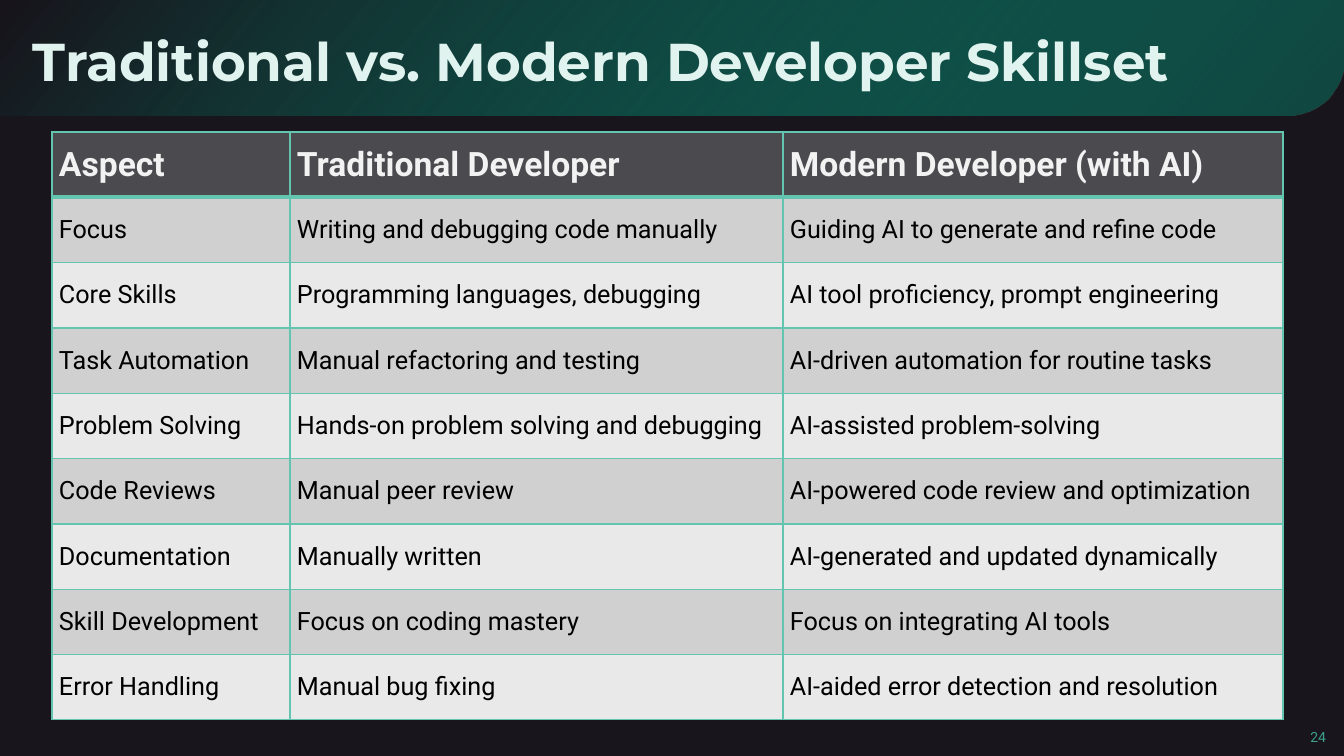
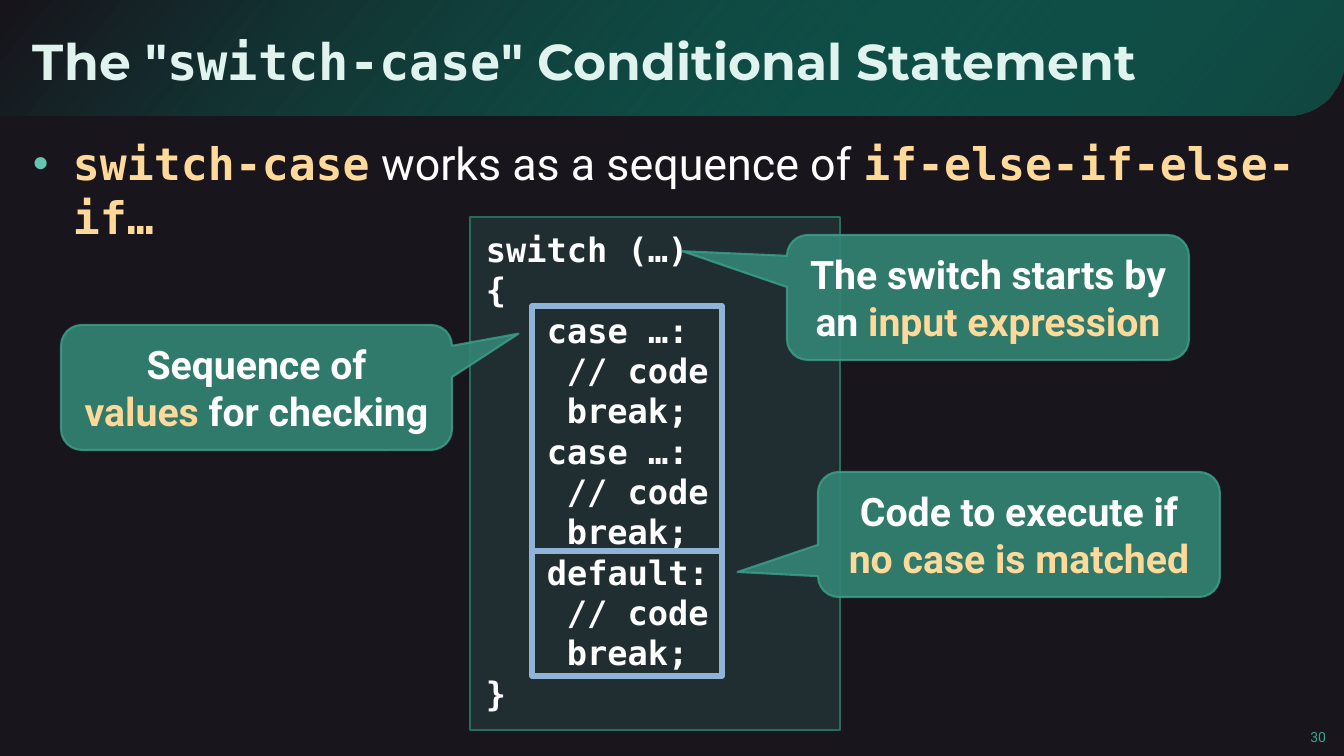
from lxml.etree import SubElement
from pptx import Presentation
from pptx.dml.color import RGBColor
from pptx.enum.shapes import MSO_SHAPE
from pptx.enum.text import MSO_ANCHOR, MSO_AUTO_SIZE, PP_ALIGN
from pptx.oxml.ns import qn
from pptx.util import Emu, Pt

COLORS = {
    "background": "18151C",
    "glow": "00BA96",
    "title": "E0F3EF",
    "accent": "63C5B0",
    "number": "3CA28C",
    "white": "FFFFFF",
    "highlight": "FFD999",
    "black": "000000",
    "header_text": "F2F2F2",
    "header": "4B4A4F",
    "odd_row": "D0D0D0",
    "even_row": "E9E9E9",
    "code_fill": "55BFA9",
    "code_line": "286C5D",
    "callout": "338575",
    "frame": "90B4D8",
}
SANS, MONO, DISPLAY = "Roboto", "DejaVu Sans Mono", "Montserrat"
STYLES = {
    "title": (DISPLAY, "title", True),
    "title_code": (MONO, "title", True),
    "body": (SANS, "white", False),
    "body_code": (MONO, "highlight", True),
    "code": (MONO, "white", True),
    "strong": (SANS, "white", True),
    "key": (SANS, "highlight", True),
    "header": (SANS, "header_text", True),
    "cell": (SANS, "black", False),
    "number": (SANS, "number", False),
}
EMU_PER_PX = 914400 / 100.8
TITLE_ONLY, TITLE_AND_BODY = 5, 1


def px(value):
    return Emu(round(value * EMU_PER_PX))


def rgb(name):
    return RGBColor.from_string(COLORS[name])


def set_alpha(shape, query, percent):
    color = shape.element.spPr.xpath(query)[0]
    SubElement(color, qn("a:alpha")).set("val", str(percent * 1000))


class Deck:
    def __init__(self):
        self.presentation = Presentation()
        self.presentation.slide_width = px(1344)
        self.presentation.slide_height = px(756)
        self.master = self.presentation.slide_master
        self.master.background.fill.solid()
        self.master.background.fill.fore_color.rgb = rgb("background")
        self.slide = None

    def add_slide(self, layout, number, title, size):
        layouts = self.presentation.slide_layouts
        self.slide = self.presentation.slides.add_slide(layouts[layout])
        if len(self.presentation.slides) == 1:
            self.add_master_band()
        frame = self.place(self.slide.shapes.title, 21, 11, 1190, 98)
        frame.vertical_anchor = MSO_ANCHOR.MIDDLE
        self.add_runs(frame.paragraphs[0], title, size)
        box = self.slide.shapes.add_textbox(px(1291), px(718), px(45), px(32))
        box.text_frame.word_wrap = True
        box.text_frame.vertical_anchor = MSO_ANCHOR.BOTTOM
        self.add_runs(box.text_frame.paragraphs[0], [(str(number), "number")], 10, PP_ALIGN.RIGHT)

    def add_master_band(self):
        band = self.shape(MSO_SHAPE.ROUND_1_RECTANGLE, 0, 0, 1344, 116)
        band.adjustments[0] = 0.5
        band.element.spPr.xfrm.set("flipV", "1")
        band.fill.gradient()
        band.fill.gradient_angle = 220
        for stop, name in zip(band.fill.gradient_stops, ("glow", "background")):
            stop.color.rgb = rgb(name)
        set_alpha(band, "./a:gradFill//a:srgbClr", 30)
        self.master.shapes.element.insert(2, band.element)

    def place(self, placeholder, left, top, width, height):
        placeholder.left, placeholder.top = px(left), px(top)
        placeholder.width, placeholder.height = px(width), px(height)
        frame = placeholder.text_frame
        frame.auto_size = MSO_AUTO_SIZE.NONE
        frame.word_wrap = True
        self.inset(frame, 12, 4)
        return frame

    def inset(self, target, side, edge):
        target.margin_left = target.margin_right = px(side)
        target.margin_top = target.margin_bottom = px(edge)

    def add_runs(self, paragraph, runs, size, align=PP_ALIGN.LEFT, exact=False):
        paragraph.alignment = align
        if exact:
            paragraph.line_spacing = Pt(size * 1.2)
        for text, style in runs:
            if text == "\n":
                paragraph.add_line_break()
                continue
            run = paragraph.add_run()
            run.text = text
            name, color, bold = STYLES[style]
            run.font.name, run.font.size, run.font.bold = name, Pt(size), bold
            run.font.color.rgb = rgb(color)

    def shape(self, kind, left, top, width, height, line=None, weight=1):
        shape = self.slide.shapes.add_shape(kind, px(left), px(top), px(width), px(height))
        shape.shadow.inherit = False
        shape.fill.background()
        if line:
            shape.line.color.rgb = rgb(line)
            shape.line.width = Pt(weight)
        else:
            shape.line.fill.background()
        return shape

    def tint(self, shape, color, percent):
        shape.fill.solid()
        shape.fill.fore_color.rgb = rgb(color)
        set_alpha(shape, "./a:solidFill/a:srgbClr", percent)

    def bullet(self, runs):
        frame = self.place(self.slide.placeholders[1], 21, 132, 1301, 613)
        paragraph = frame.paragraphs[0]
        self.add_runs(paragraph, runs, 32, exact=True)
        paragraph.space_before = paragraph.space_after = Pt(6)
        properties = paragraph._p.get_or_add_pPr()
        properties.set("marL", str(px(40)))
        properties.set("indent", str(px(-40)))
        color = SubElement(properties, qn("a:buClr"))
        SubElement(color, qn("a:srgbClr")).set("val", COLORS["accent"])
        SubElement(properties, qn("a:buChar")).set("char", "•")

    def code(self, left, top, width, height, lines):
        shape = self.shape(MSO_SHAPE.RECTANGLE, left, top, width, height, "code_line")
        self.tint(shape, "code_fill", 15)
        frame = shape.text_frame
        frame.word_wrap = True
        frame.vertical_anchor = MSO_ANCHOR.TOP
        self.inset(frame, 16, 12)
        for index, (indent, text) in enumerate(lines):
            paragraph = frame.add_paragraph() if index else frame.paragraphs[0]
            self.add_runs(paragraph, [(text, "code")], 24, exact=True)
            paragraph._p.get_or_add_pPr().set("marL", str(px(indent)))

    def callout(self, left, top, width, tip, runs):
        shape = self.shape(MSO_SHAPE.ROUNDED_RECTANGULAR_CALLOUT, left, top, width, 125, "number", 1.5)
        shape.adjustments[0], shape.adjustments[1] = tip
        self.tint(shape, "callout", 90)
        set_alpha(shape, "./a:ln//a:srgbClr", 80)
        shape.text_frame.word_wrap = True
        shape.text_frame.vertical_anchor = MSO_ANCHOR.MIDDLE
        self.add_runs(shape.text_frame.paragraphs[0], runs, 28, PP_ALIGN.CENTER, exact=True)

    def border(self, cell, side, weight):
        line = SubElement(cell._tc.get_or_add_tcPr(), qn(f"a:ln{side}"))
        line.set("w", str(Pt(weight)))
        fill = SubElement(line, qn("a:solidFill"))
        SubElement(fill, qn("a:srgbClr")).set("val", COLORS["accent"])

    def table(self, left, top, height, widths, rows):
        table = self.slide.shapes.add_table(
            len(rows), len(widths), px(left), px(top), px(sum(widths)), px(height)
        ).table
        for column, width in zip(table.columns, widths):
            column.width = px(width)
        for row_index, row in enumerate(rows):
            style, size = ("cell", 18) if row_index else ("header", 24)
            band = ("even_row", "odd_row")[row_index % 2] if row_index else "header"
            for column_index, text in enumerate(row):
                cell = table.cell(row_index, column_index)
                cell.vertical_anchor = MSO_ANCHOR.MIDDLE
                self.inset(cell, 7, 7)
                for side in "LRTB":
                    thick = (row_index, side) in ((0, "B"), (1, "T"))
                    self.border(cell, side, 3 if thick else 1)
                cell.fill.solid()
                cell.fill.fore_color.rgb = rgb(band)
                self.add_runs(cell.text_frame.paragraphs[0], [(text, style)], size)


def skillset_slide(deck):
    deck.add_slide(TITLE_ONLY, 24, [("Traditional vs. Modern Developer Skillset", "title")], 38)
    deck.table(52, 132, 588, (238, 493, 500), [
        ("Aspect", "Traditional Developer", "Modern Developer (with AI)"),
        ("Focus", "Writing and debugging code manually", "Guiding AI to generate and refine code"),
        ("Core Skills", "Programming languages, debugging", "AI tool proficiency, prompt engineering"),
        ("Task Automation", "Manual refactoring and testing", "AI-driven automation for routine tasks"),
        ("Problem Solving", "Hands-on problem solving and debugging", "AI-assisted problem-solving"),
        ("Code Reviews", "Manual peer review", "AI-powered code review and optimization"),
        ("Documentation", "Manually written", "AI-generated and updated dynamically"),
        ("Skill Development", "Focus on coding mastery", "Focus on integrating AI tools"),
        ("Error Handling", "Manual bug fixing", "AI-aided error detection and resolution"),
    ])


def switch_slide(deck):
    deck.add_slide(TITLE_AND_BODY, 30, [
        ('The "', "title"), ("switch-case", "title_code"), ('" Conditional Statement', "title"),
    ], 36)
    deck.bullet([
        ("switch-case", "body_code"),
        (" works as a sequence of ", "body"),
        ("if-else-if-else-if…", "body_code"),
    ])
    branch, step = 61, 81
    body = [(step, "// code"), (step, "break;")]
    case = [(branch, "case …:")] + body
    deck.code(470, 217, 370, 513, [
        (0, "switch (…)"), (0, "{"), *case, *case, (branch, "default:"), *body, (0, "}"),
    ])
    deck.callout(787, 235, 402, (-0.76, -0.37), [
        ("The switch starts by an ", "strong"), ("input expression", "key"),
    ])
    deck.callout(61, 325, 391, (0.67, -0.43), [
        ("Sequence of", "strong"), ("\n", "strong"), ("values", "key"), (" for checking", "strong"),
    ])
    for top, height in ((306, 245), (551, 125)):
        deck.shape(MSO_SHAPE.RECTANGLE, 532, top, 190, height, "frame", 4)
    deck.callout(818, 472, 402, (-0.7, 0.3), [
        ("Code to execute if ", "strong"), ("no case is matched", "key"),
    ])


def main():
    deck = Deck()
    skillset_slide(deck)
    switch_slide(deck)
    deck.presentation.save("out.pptx")


if __name__ == "__main__":
    main()
